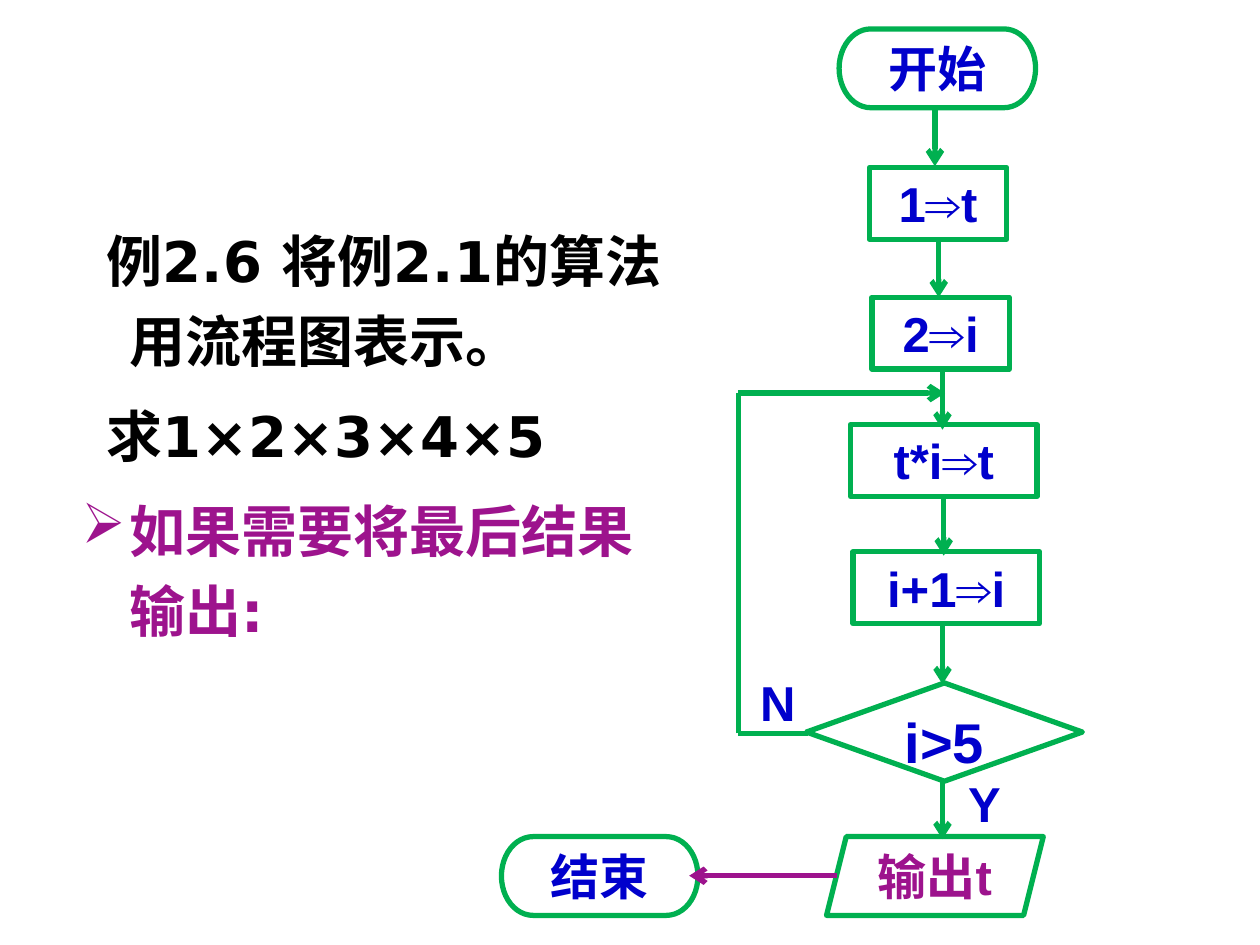
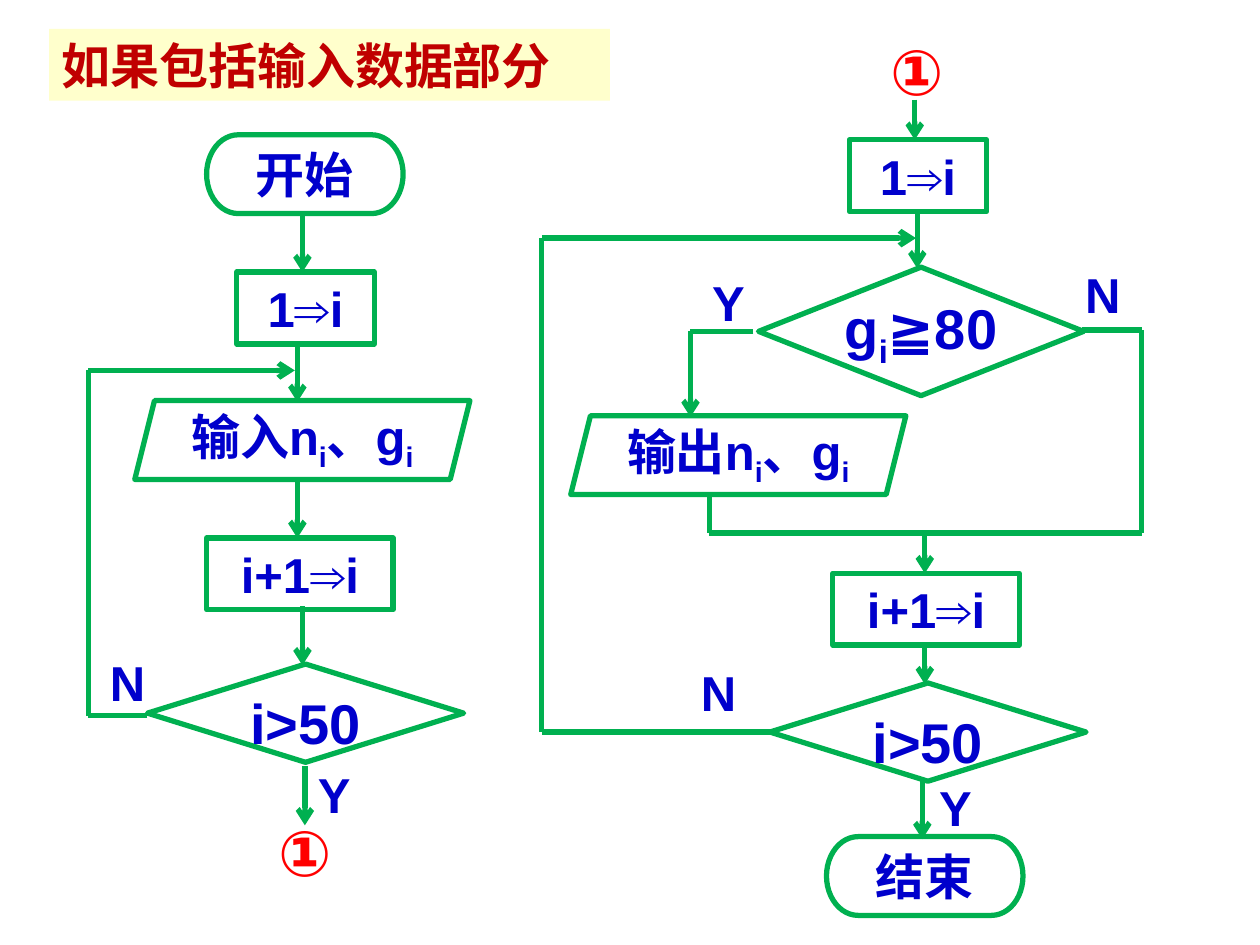
from dataclasses import dataclass

from lxml.etree import SubElement
from pptx import Presentation
from pptx.dml.color import RGBColor
from pptx.enum.shapes import MSO_CONNECTOR as Connector, MSO_SHAPE as Preset
from pptx.enum.text import MSO_ANCHOR as Anchor, MSO_AUTO_SIZE as AutoSize, PP_ALIGN as Align
from pptx.oxml.ns import qn
from pptx.util import Inches, Pt


@dataclass(frozen=True)
class Theme:
    green: str = "00B050"
    purple: str = "9D138D"
    blue: str = "0000CC"
    dark_red: str = "C00000"
    red: str = "FF0000"
    cream: str = "FFFFCC"
    white: str = "FFFFFF"
    black: str = "000000"
    font: str = "Arial"
    prose_font: str = "DejaVu Sans"
    normal: int = 28
    large: int = 32
    marker: int = 36
    line: int = 3


# The grid: lengths below are in columns and rows
COLUMNS, ROWS = 100, 75
WIDTH, HEIGHT = Inches(10), Inches(7.5)
BOX_HEIGHT, NODE_HEIGHT = 5.7, 6.25
NARROW, WIDE = 10.9, 14.8
STEP = 4.7

TIGHT = dict(margin_left=0, margin_right=0, margin_top=0, margin_bottom=0,
             word_wrap=False, vertical_anchor=Anchor.MIDDLE)
ROOMY = dict(margin_left=Inches(0.1), margin_right=Inches(0.1),
             margin_top=Inches(0.05), margin_bottom=Inches(0.05),
             word_wrap=True, vertical_anchor=Anchor.TOP)
GROWING = dict(ROOMY, auto_size=AutoSize.SHAPE_TO_FIT_TEXT)


def apply(target, values):
    for name, value in values.items():
        setattr(target, name, value)


def across(columns):
    return round(WIDTH * columns / COLUMNS)


def down(rows):
    return round(HEIGHT * rows / ROWS)


class FlowDeck:
    def __init__(self, presentation, theme):
        self.presentation = presentation
        self.theme = theme
        self.slide = None

    def new_slide(self):
        self.slide = self.presentation.slides.add_slide(self.presentation.slide_layouts[6])

    # Text
    def add_run(self, paragraph, text, color, size, font=None, subscript=False):
        run = paragraph.add_run()
        run.text = text
        apply(run.font, dict(name=font or self.theme.font, size=Pt(size), bold=True))
        run.font.color.rgb = RGBColor.from_string(color)
        if subscript:
            run._r.get_or_add_rPr().set("baseline", "-25000")

    def fill_text(self, shape, text, color, size, frame, align=Align.CENTER):
        """An underscore makes the next letter a subscript."""
        apply(shape.text_frame, frame)
        paragraph = shape.text_frame.paragraphs[0]
        paragraph.alignment = align
        first, *rest = text.split("_")
        self.add_run(paragraph, first, color, size)
        for piece in rest:
            self.add_run(paragraph, piece[0], color, size, subscript=True)
            if piece[1:]:
                self.add_run(paragraph, piece[1:], color, size)

    def label(self, text, left, top, width=6.25, height=BOX_HEIGHT, color=None, size=None):
        shape = self.slide.shapes.add_textbox(across(left), down(top), across(width), down(height))
        self.fill_text(shape, text, color or self.theme.blue, size or self.theme.normal, GROWING)

    def marker(self, left, top):
        self.label("①", left, top, 7.8, 7, self.theme.red, self.theme.marker)

    def prose(self, paragraphs, left, top, width, height):
        shape = self.slide.shapes.add_textbox(across(left), down(top), across(width), down(height))
        apply(shape.text_frame, ROOMY)
        for index, (text, color, bullet) in enumerate(paragraphs):
            paragraph = shape.text_frame.paragraphs[0] if index == 0 else shape.text_frame.add_paragraph()
            properties = paragraph._p.get_or_add_pPr()
            properties.set("marL", str(Inches(0.38)))
            properties.set("indent", str(Inches(-0.38 if bullet else -0.18)))
            if bullet:
                bullet_color = SubElement(properties, qn("a:buClr"))
                SubElement(bullet_color, qn("a:srgbClr"), val=color)
                SubElement(properties, qn("a:buChar"), char=bullet)
            apply(paragraph, dict(line_spacing=1.2, space_before=Pt(8 if index else 0)))
            self.add_run(paragraph, text, color, self.theme.large, self.theme.prose_font)

    # Flowchart nodes
    def shape(self, preset, left, top, width, height, fill=None, line=None):
        shape = self.slide.shapes.add_shape(preset, across(left), down(top), across(width), down(height))
        shape.shadow.inherit = False
        if fill:
            shape.fill.solid()
            shape.fill.fore_color.rgb = RGBColor.from_string(fill)
        else:
            shape.fill.background()
        if line:
            shape.line.color.rgb = RGBColor.from_string(line)
            shape.line.width = Pt(self.theme.line)
        else:
            shape.line.fill.background()
        return shape

    def banner(self, text, left, top, width):
        shape = self.shape(Preset.RECTANGLE, left, top, width, BOX_HEIGHT, self.theme.cream)
        self.fill_text(shape, text, self.theme.dark_red, self.theme.normal, GROWING, Align.LEFT)

    def process(self, text, left, top, width=NARROW):
        shape = self.shape(Preset.RECTANGLE, left, top, width, BOX_HEIGHT, line=self.theme.green)
        self.fill_text(shape, text, self.theme.blue, self.theme.normal, GROWING)

    def filled_node(self, preset, text, left, top, width, height=NODE_HEIGHT,
                    color=None, size=None, anchor=Anchor.MIDDLE):
        shape = self.shape(preset, left, top, width, height, self.theme.white, self.theme.green)
        self.fill_text(shape, text, color or self.theme.blue, size or self.theme.normal,
                       dict(TIGHT, vertical_anchor=anchor))

    def terminator(self, text, left, top):
        self.filled_node(Preset.FLOWCHART_TERMINATOR, text, left, top, 15.6)

    def data(self, text, left, top, width=26.6, color=None):
        self.filled_node(Preset.PARALLELOGRAM, text, left, top, width, color=color)

    def decision(self, text, left, top, width=25.1, height=7.8, anchor=Anchor.TOP):
        self.filled_node(Preset.FLOWCHART_DECISION, text, left, top, width, height,
                         size=self.theme.large, anchor=anchor)

    # Lines
    def route(self, *points, arrow=True, color=None):
        """Join the points in turn; only the last part has an arrowhead."""
        for index, (start, end) in enumerate(zip(points, points[1:]), 2):
            connector = self.slide.shapes.add_connector(
                Connector.STRAIGHT, across(start[0]), down(start[1]), across(end[0]), down(end[1]))
            connector.line.color.rgb = RGBColor.from_string(color or self.theme.green)
            connector.line.width = Pt(self.theme.line)
            if arrow and index == len(points):
                SubElement(connector.line._get_or_add_ln(), qn("a:tailEnd"), type="arrow")
            SubElement(connector._element.spPr, qn("a:effectLst"))

    def arrow_down(self, column, row, length=STEP):
        self.route((column, row), (column, row + length))


def build_factorial(deck):
    theme = deck.theme
    deck.new_slide()
    deck.prose([("例2.6 将例2.1的算法用流程图表示。", theme.black, None),
                ("求1×2×3×4×5", theme.black, None),
                ("如果需要将最后结果输出:", theme.purple, "➢")], 5.5, 16.4, 48, 39.1)

    # Nodes from start to end
    deck.terminator("开始", 66.6, 2.3)
    deck.process("1⇒t", 69, 13.3)
    deck.process("2⇒i", 69.2, 23.6)
    deck.process("t*i⇒t", 67.5, 33.7, WIDE)
    deck.process("i+1⇒i", 67.7, 43.8, WIDE)
    deck.decision("i>5", 64, 54.2, 21.9)
    deck.data("输出t", 65.6, 66.4, 17.2, theme.purple)
    deck.terminator("结束", 39.8, 66.4)

    # Flow, loop and exit
    for column, row in ((74.2, 8.5), (74.5, 18.9), (74.8, 29.4), (74.9, 39.4),
                        (74.8, 49.6), (74.8, 61.9)):
        deck.arrow_down(column, row)
    deck.route((64.1, 58.2), (58.6, 58.2), (58.6, 31.2), (75, 31.2))
    deck.route((66.4, 69.5), (54.7, 69.5), color=theme.purple)
    deck.label("N", 58.6, 52.9)
    deck.label("Y", 75, 60.9)


def build_input(deck):
    deck.new_slide()
    deck.banner("如果包括输入数据部分", 3.9, 2.3, 44.5)

    # Input loop
    deck.terminator("开始", 16.4, 10.7)
    deck.process("1⇒i", 18.8, 21.6)
    deck.data("输入n_i、g_i", 10.7, 31.8)
    deck.process("i+1⇒i", 16.4, 42.7, WIDE)
    deck.decision("i>50", 11.7, 52.7)
    for column, row in ((24, 16.9), (23.6, 27.2), (23.6, 38), (24, 48.1), (24.2, 60.8)):
        deck.arrow_down(column, row)
    deck.route((11.7, 56.8), (7, 56.8), (7, 29.4), (23.4, 29.4))
    deck.label("N", 7, 51.3)
    deck.label("Y", 23.4, 60.2)
    deck.marker(20.3, 64.1)

    # Output loop
    deck.marker(68.9, 2.1)
    deck.process("1⇒i", 67.4, 11.1)
    deck.decision("g_i≧80", 60.2, 21.2, 25.8, 10.2, Anchor.MIDDLE)
    deck.data("输出n_i、g_i", 45.3, 33)
    deck.process("i+1⇒i", 66.1, 45.5, WIDE)
    deck.decision("i>50", 61.1, 54.2)
    deck.terminator("结束", 65.6, 66.4)
    for column, row, length in ((72.6, 7.9, 3.2), (72.8, 16.6, STEP), (73.4, 42.3, 3.2),
                                (73.4, 51.2, 3.1), (73.2, 61.9, STEP)):
        deck.arrow_down(column, row, length)
    deck.route((59.8, 26.3), (54.8, 26.3), (54.8, 33.1))
    deck.route((85.9, 26.2), (90.6, 26.2), (90.6, 42.3), (56.3, 42.3), (56.3, 39.2), arrow=False)
    deck.route((61.1, 58.1), (43, 58.1), (43, 18.9), (72.7, 18.9))
    deck.label("N", 53.9, 52.1)
    deck.label("Y", 72.7, 61.2)
    deck.label("Y", 54.7, 21.1)
    deck.label("N", 84.4, 20.5)


def main():
    presentation = Presentation()
    apply(presentation, dict(slide_width=WIDTH, slide_height=HEIGHT))
    deck = FlowDeck(presentation, Theme())
    build_factorial(deck)
    build_input(deck)
    presentation.save("out.pptx")


if __name__ == "__main__":
    main()
